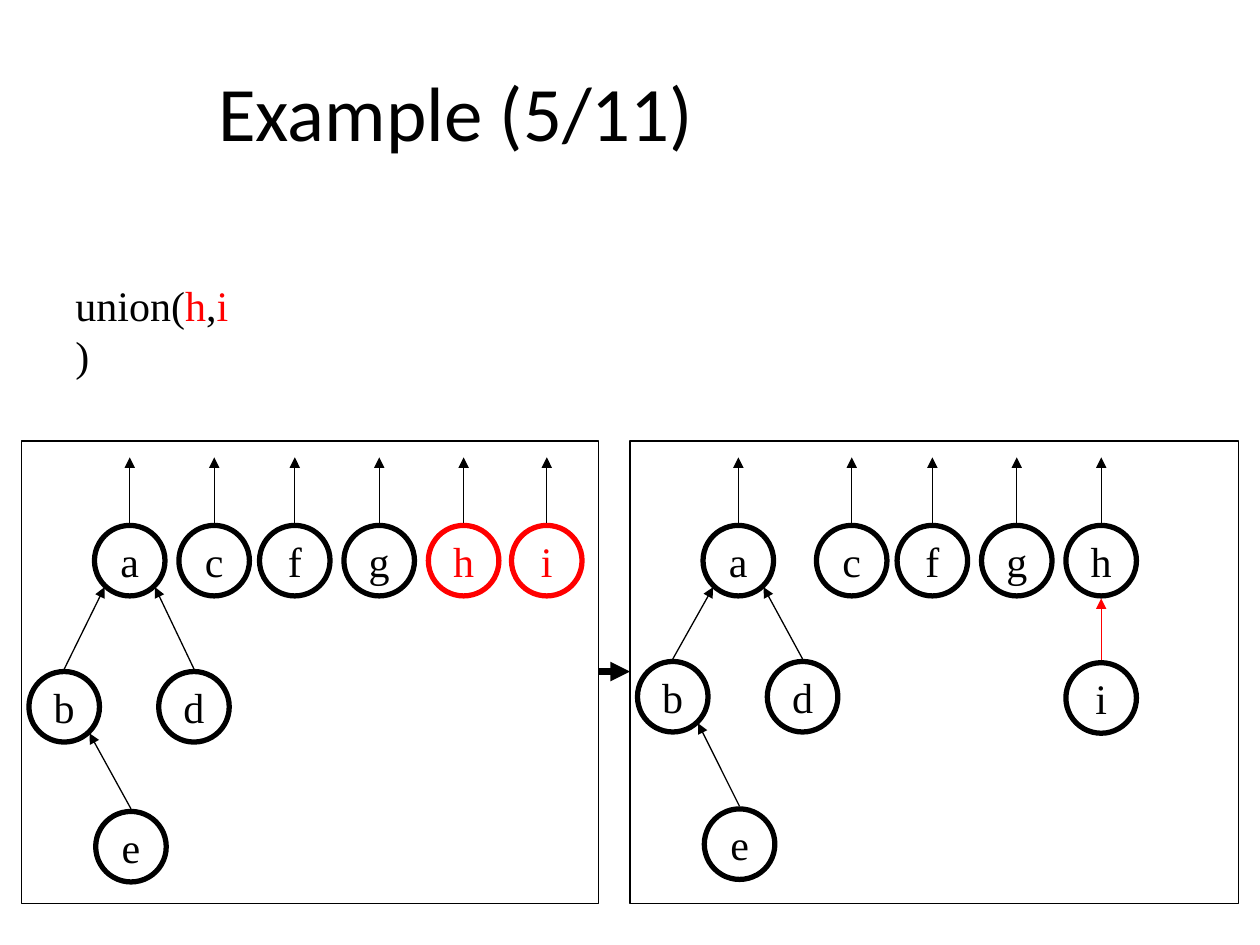
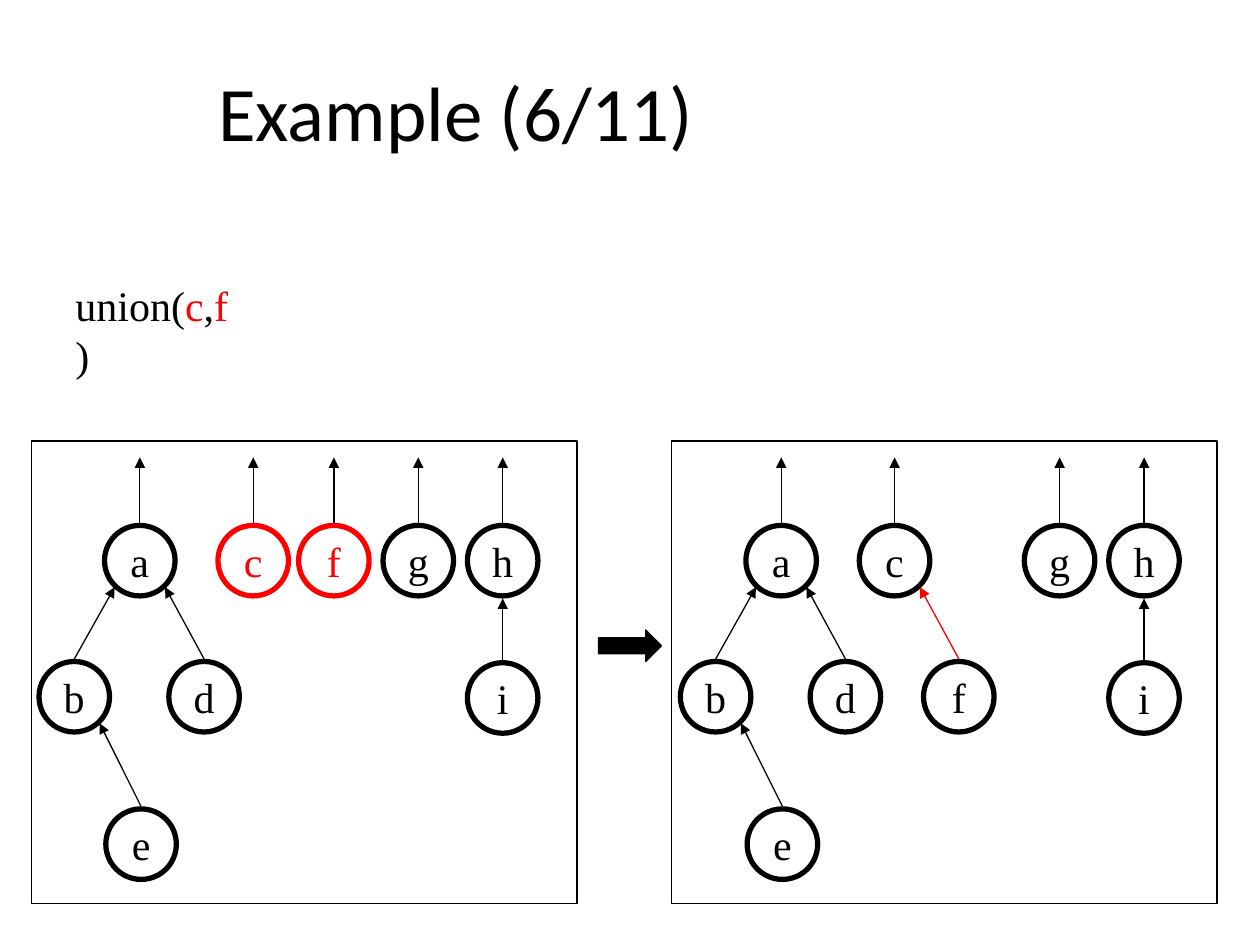
from dataclasses import dataclass
from typing import Optional

from lxml import etree
from pptx import Presentation
from pptx.dml.color import RGBColor
from pptx.enum.shapes import MSO_CONNECTOR, MSO_SHAPE
from pptx.enum.text import MSO_ANCHOR, MSO_AUTO_SIZE, PP_ALIGN
from pptx.oxml.ns import qn
from pptx.util import Inches, Pt

BLACK, RED, WHITE = "000000", "FF0000", "FFFFFF"
TITLE_FONT, BODY_FONT = "Calibri", "Times New Roman"
STRAIGHT = MSO_CONNECTOR.STRAIGHT
RECT, OVAL, BLOCK_ARROW = MSO_SHAPE.RECTANGLE, MSO_SHAPE.OVAL, MSO_SHAPE.RIGHT_ARROW
CENTER, MIDDLE = PP_ALIGN.CENTER, MSO_ANCHOR.MIDDLE
TITLE_ONLY = 5

# Node geometry, in inches
SIZE, GAP = 0.56, 0.02
ROOT_TOP, ROOT_ARROW_TOP = 4.17, 3.63
PANEL_TOP, PANEL_HEIGHT = 3.5, 3.67
DIAGONAL_X, DIAGONAL_Y = 0.2, 0.21
ROOT_OFFSETS = {"c": 0, "f": 0.64, "g": 1.31, "h": 1.98, "i": 2.64}  # from c


@dataclass
class Child:
    """A node hung under a parent, dx inches to its right."""
    name: str
    parent: str
    dx: float
    top: float
    link: str = BLACK


@dataclass
class Panel:
    """A framed forest: where it stands, its single roots and its children."""
    left: float
    width: float
    a_left: float
    roots: str
    children: list[Child]
    c_gap: float = 0.9
    red: str = ""


@dataclass
class Step:
    """One slide: its number, the two united nodes, and before and after."""
    number: int
    pair: str
    panels: tuple[Panel, Panel]
    block_arrow: bool


def color(value: str) -> RGBColor:
    """Turn a hex string into a colour."""
    return RGBColor.from_string(value)


def a_tree(level2: float = 5.25, level3: float = 6.42) -> list[Child]:
    """Return the children of the tree rooted at a."""
    return [Child("b", "a", -0.52, level2), Child("d", "a", 0.51, level2),
            Child("e", "b", 0.53, level3)]


def add_outline(slide, kind, left: float, top: float, width: float, height: float,
                fill: Optional[str] = None, line: str = BLACK, weight: float = 0.75):
    """Add a shadowless preset shape."""
    sp = slide.shapes.add_shape(kind, Inches(left), Inches(top),
                                Inches(width), Inches(height))
    sp.shadow.inherit = False
    if fill:
        sp.fill.solid()
        sp.fill.fore_color.rgb = color(fill)
    else:
        sp.fill.background()
    sp.line.color.rgb = color(line)
    sp.line.width = Pt(weight)
    return sp


def add_arrow(slide, x1: float, y1: float, x2: float, y2: float,
              line: str = BLACK, weight: float = 0.75) -> None:
    """Add a straight line with a triangle at its end."""
    cxn = slide.shapes.add_connector(STRAIGHT, Inches(x1), Inches(y1),
                                     Inches(x2), Inches(y2))
    cxn.line.color.rgb = color(line)
    cxn.line.width = Pt(weight)
    etree.SubElement(cxn.line._get_or_add_ln(), qn("a:tailEnd"), type="triangle")
    etree.SubElement(cxn._element.spPr, qn("a:effectLst"))


def add_node(slide, name: str, left: float, top: float, line: str) -> None:
    """Add a ringed, lettered node."""
    sp = add_outline(slide, OVAL, left, top, SIZE, SIZE, line=line, weight=3)
    tf = sp.text_frame
    tf.word_wrap = False
    tf.vertical_anchor = MIDDLE
    p = tf.paragraphs[0]
    p.text = name
    p.alignment = CENTER
    p.font.size, p.font.name = Pt(24), BODY_FONT
    p.font.color.rgb = color(line)


def add_link(slide, child: Child, parent: tuple[float, float], left: float) -> None:
    """Point an arrow from the top of a child to the rim of its parent."""
    x, y = parent[0] + SIZE / 2, parent[1] + SIZE / 2
    if child.dx:
        x += DIAGONAL_X if child.dx > 0 else -DIAGONAL_X
        y += DIAGONAL_Y
    else:
        y += SIZE / 2 + GAP
    add_arrow(slide, left + SIZE / 2, child.top - GAP, x, y, child.link)


def add_panel(slide, panel: Panel) -> None:
    """Draw the frame, the roots with their arrows, and the children."""
    add_outline(slide, RECT, panel.left, PANEL_TOP, panel.width, PANEL_HEIGHT, WHITE)
    c_left = panel.a_left + panel.c_gap
    places = {"a": (panel.a_left, ROOT_TOP)}
    places |= {name: (c_left + ROOT_OFFSETS[name], ROOT_TOP) for name in panel.roots}
    for name, (left, top) in places.items():
        add_node(slide, name, left, top, RED if name in panel.red else BLACK)
        mid = left + SIZE / 2
        add_arrow(slide, mid, top - GAP, mid, ROOT_ARROW_TOP)
    for child in panel.children:
        parent = places[child.parent]
        left = parent[0] + child.dx
        places[child.name] = (left, child.top)
        add_node(slide, child.name, left, child.top, BLACK)
        add_link(slide, child, parent, left)


def add_title(slide, text: str) -> None:
    """Fill and place the title placeholder."""
    sp = slide.shapes.title
    sp.left, sp.top = Inches(0.08), Inches(0.25)
    sp.width, sp.height = Inches(7.08), Inches(1.25)
    tf = sp.text_frame
    tf.vertical_anchor = MIDDLE
    p = tf.paragraphs[0]
    p.text = text
    p.alignment = CENTER
    p.font.size, p.font.name = Pt(44), TITLE_FONT
    p.font.color.rgb = color(BLACK)


def add_call(slide, pair: str) -> None:
    """Write the union call with its arguments in red."""
    sp = slide.shapes.add_textbox(Inches(0.5), Inches(2.17), Inches(1.52), Inches(0.5))
    tf = sp.text_frame
    tf.word_wrap = False
    tf.auto_size = MSO_AUTO_SIZE.SHAPE_TO_FIT_TEXT
    p = tf.paragraphs[0]
    p.font.size, p.font.name = Pt(24), BODY_FONT
    for text in ("union(", pair[0], ",", pair[1], ")"):
        r = p.add_run()
        r.text = text
        r.font.color.rgb = color(RED if text in pair else BLACK)


def add_step(prs, step: Step) -> None:
    """Build the slide of one step."""
    slide = prs.slides.add_slide(prs.slide_layouts[TITLE_ONLY])
    add_title(slide, f"Example ({step.number}/11)")
    add_call(slide, step.pair)
    for panel in step.panels:
        add_panel(slide, panel)
    if step.block_arrow:
        add_outline(slide, BLOCK_ARROW, 4.75, 5, 0.5, 0.25, BLACK)
    else:
        add_arrow(slide, 4.75, 5.33, 5, 5.33, weight=3.75)


I_UNDER_H = Child("i", "h", 0, 5.26)
STEPS = [
    Step(5, "hi", (
        Panel(0.17, 4.58, 0.75, "cfghi", a_tree(5.33, 6.44), c_gap=0.67, red="hi"),
        Panel(5, 4.83, 5.58, "cfgh", a_tree() + [Child("i", "h", 0, 5.26, RED)]),
    ), block_arrow=False),
    Step(6, "cf", (
        Panel(0.25, 4.33, 0.83, "cfgh", a_tree() + [I_UNDER_H], red="cf"),
        Panel(5.33, 4.33, 5.92, "cgh",
              a_tree() + [Child("f", "c", 0.51, 5.25, RED), I_UNDER_H]),
    ), block_arrow=True),
]

prs = Presentation()
prs.slide_width, prs.slide_height = Inches(10), Inches(7.5)
for step in STEPS:
    add_step(prs, step)
prs.save("out.pptx")
